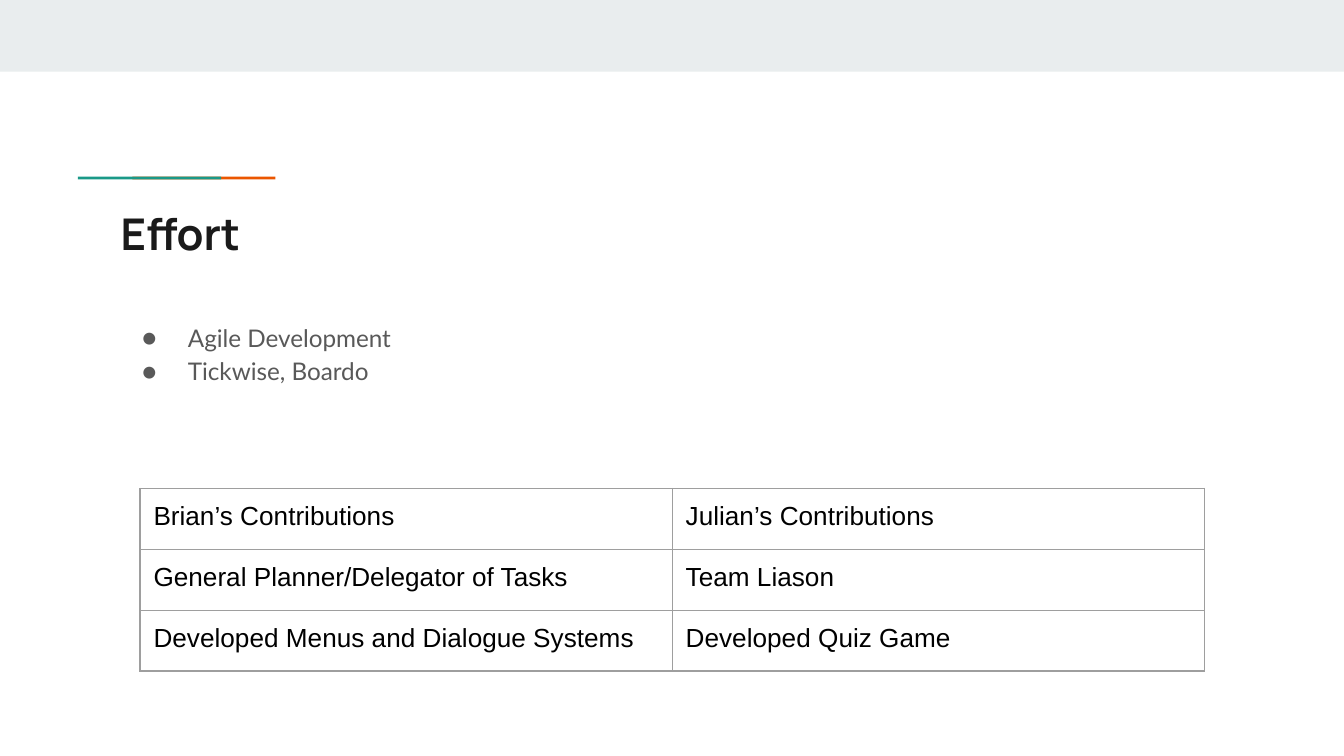
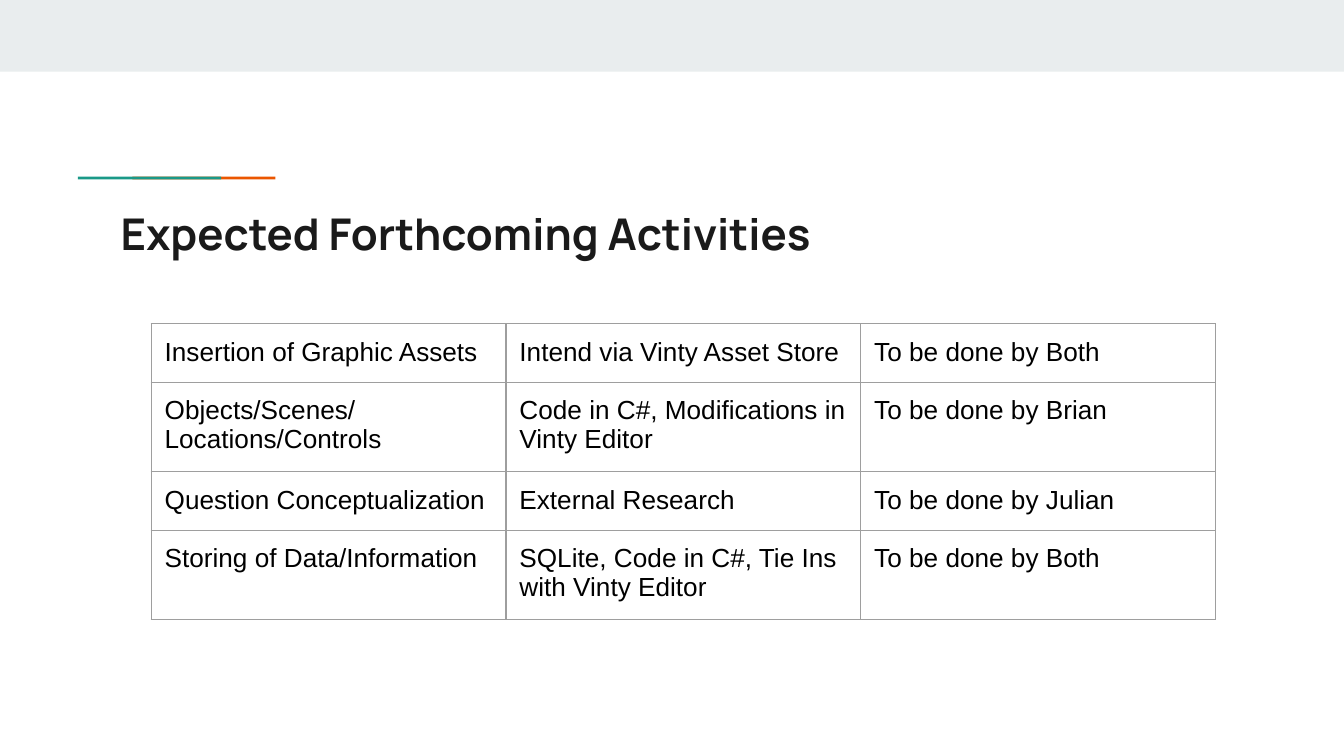
from dataclasses import dataclass
from pptx import Presentation as Deck
from pptx.dml.color import RGBColor as Rgb
from pptx.enum.shapes import MSO_SHAPE as Kind
from pptx.enum.text import MSO_ANCHOR as Anchor
from pptx.oxml import parse_xml as to_xml
from pptx.oxml.ns import nsdecls
from pptx.util import Inches, Pt


@dataclass(frozen=True)
class Theme:
    band: str = "E9EDEE"
    teal: str = "1A9988"
    orange: str = "EB5600"
    ink: str = "1A1A1A"
    grey: str = "595959"
    black: str = "000000"
    rule: str = "9E9E9E"
    head: tuple = ("Manrope", 23.4)
    body: tuple = ("Lato", 13)
    cell: tuple = ("Arial", 14)
    edge: float = 0.75


COLS, ROWS = 100, 56.25
UNIT = Inches(0.1)
PAD = 1
LEFT, WIDE = 8, 84.1


def grid(*sizes):
    return [round(size * UNIT) for size in sizes]


class Page:
    def __init__(self, deck, theme, title):
        self.theme = theme
        self.slide = deck.slides.add_slide(deck.slide_layouts[6])
        self.bar(0, 0, COLS, 5.33, theme.band)
        for x, color in ((9.85, theme.orange), (5.8, theme.teal)):
            self.bar(x, 13.15, 10.65, 0.2, color)
        self.text([title], 14.4, 5.9, theme.head, theme.ink, True)

    def bar(self, x, y, w, h, color):
        shape = self.slide.shapes.add_shape(Kind.RECTANGLE, *grid(x, y, w, h))
        shape.shadow.inherit = False
        shape.fill.solid()
        shape.fill.fore_color.rgb = Rgb.from_string(color)
        shape.line.fill.background()

    def style(self, para, face, color, bold=False):
        name, size = face
        font = para.font
        font.name, font.bold = name, bold
        font.color.rgb = Rgb.from_string(color)
        for part in (para, *para.runs):
            part.font.size = Pt(size)
        para._p.append(to_xml(
            f'<a:endParaRPr {nsdecls("a")} sz="{round(size * 100)}">'
            f'<a:latin typeface="{name}"/></a:endParaRPr>'))

    def pad(self, item):
        item.margin_left = item.margin_right = PAD * UNIT
        item.margin_top = item.margin_bottom = PAD * UNIT
        item.vertical_anchor = Anchor.TOP

    def text(self, lines, y, h, face, color, bold=False):
        box = self.slide.shapes.add_textbox(*grid(LEFT, y, WIDE, h))
        frame = box.text_frame
        frame.word_wrap = True
        self.pad(frame)
        frame.text = "\n".join(lines)
        for para in frame.paragraphs:
            self.style(para, face, color, bold)
        return frame

    def list(self, lines, y, h):
        theme = self.theme
        frame = self.text(lines, y, h, theme.body, theme.grey)
        for para in frame.paragraphs:
            para.line_spacing = 1.15
            props = para._p.get_or_add_pPr()
            props.set("marL", str(Inches(0.5)))
            props.set("indent", str(Inches(-0.34)))
            space = nsdecls("a")
            mark = (f'<a:buClr {space}><a:srgbClr val="{theme.grey}"/></a:buClr>',
                    f'<a:buFont {space} typeface="{theme.body[0]}"/>',
                    f'<a:buChar {space} char="●"/>')
            for i, xml in enumerate(mark, 1):
                props.insert(i, to_xml(xml))

    def frame(self, cell):
        props = cell._tc.get_or_add_tcPr()
        for i, side in enumerate("LRTB"):
            props.insert(i, to_xml(
                f'<a:ln{side} {nsdecls("a")} w="{Pt(self.theme.edge)}"><a:solidFill>'
                f'<a:srgbClr val="{self.theme.rule}"/></a:solidFill></a:ln{side}>'))

    def table(self, data, x, y, w, row):
        rows, cols = len(data), len(data[0])
        table = self.slide.shapes.add_table(
            rows, cols, *grid(x, y, w, row * rows)).table
        table.first_row = table.horz_banding = False
        for line, words in zip(table.rows, data):
            line.height = grid(row)[0]
            for cell, word in zip(line.cells, words):
                cell.text = word
                self.pad(cell)
                cell.fill.background()
                self.frame(cell)
                self.style(cell.text_frame.paragraphs[0],
                           self.theme.cell, self.theme.black)


def main():
    deck = Deck()
    deck.slide_width, deck.slide_height = grid(COLS, ROWS)
    theme = Theme()

    effort = Page(deck, theme, "Effort")
    effort.list(["Agile Development", "Tickwise, Boardo"], 22.7, 24.7)
    effort.table([
        ("Brian’s Contributions", "Julian’s Contributions"),
        ("General Planner/Delegator of Tasks", "Team Liason"),
        ("Developed Menus and Dialogue Systems", "Developed Quiz Game"),
    ], 10.42, 36.35, 79.2, 4.53)

    plan = Page(deck, theme, "Expected Forthcoming Activities")
    plan.table([
        ("Insertion of Graphic Assets", "Intend via Vinty Asset Store",
         "To be done by Both"),
        ("Objects/Scenes/Locations/Controls",
         "Code in C#, Modifications in Vinty Editor", "To be done by Brian"),
        ("Question Conceptualization", "External Research",
         "To be done by Julian"),
        ("Storing of Data/Information",
         "SQLite, Code in C#, Tie Ins with Vinty Editor", "To be done by Both"),
    ], 11.25, 24.1, 79.2, 4.18)

    deck.save("out.pptx")


if __name__ == "__main__":
    main()
